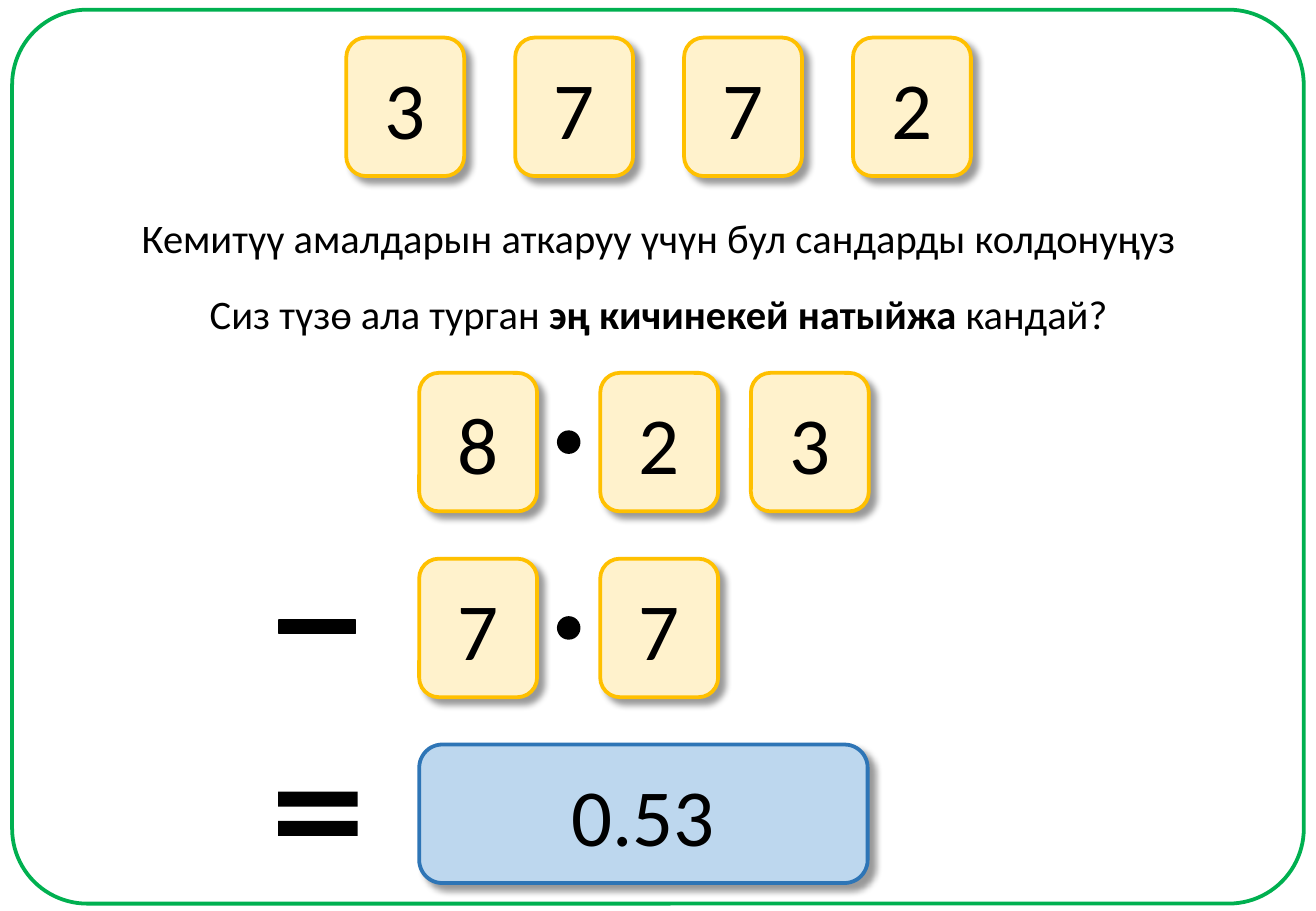
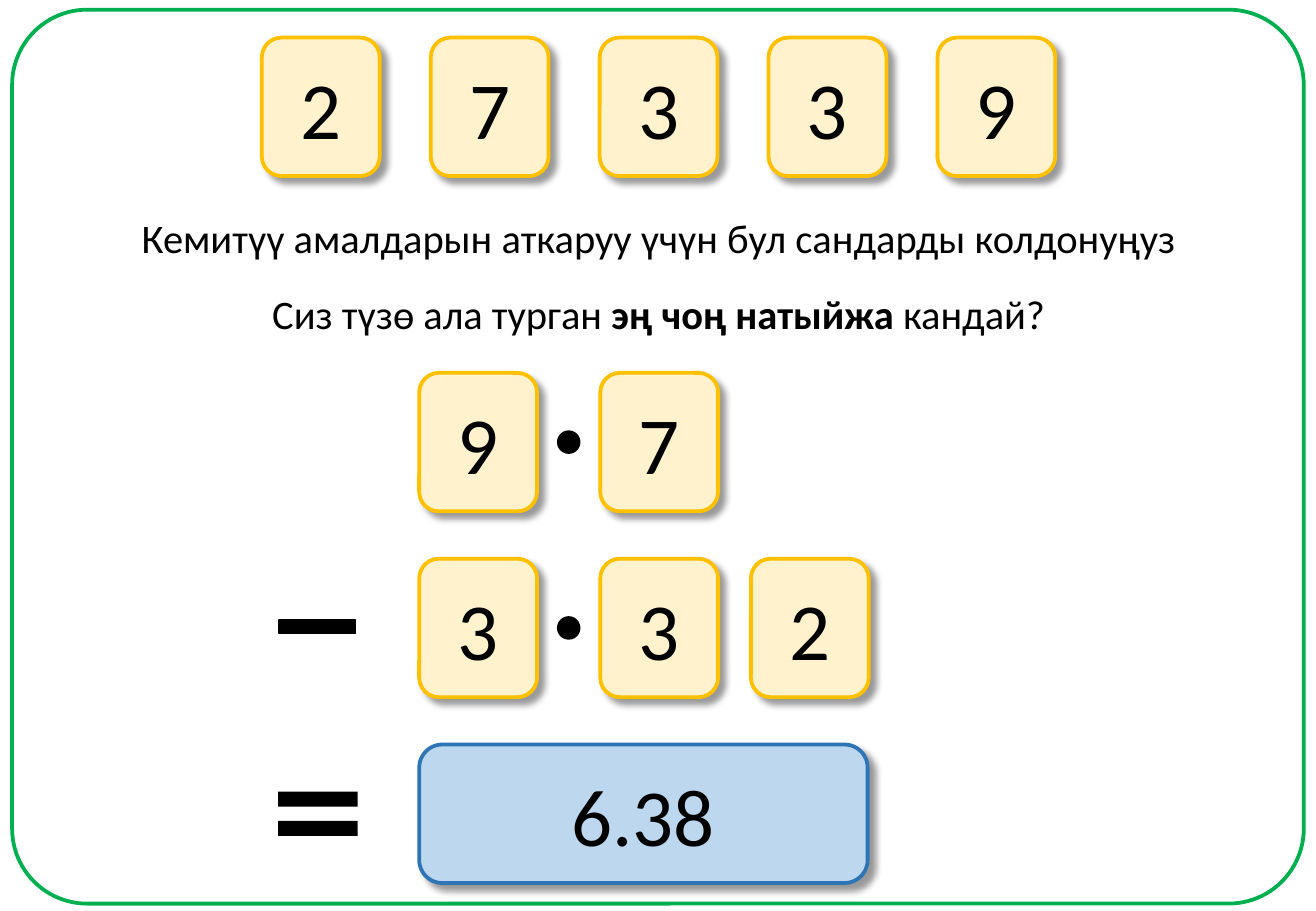
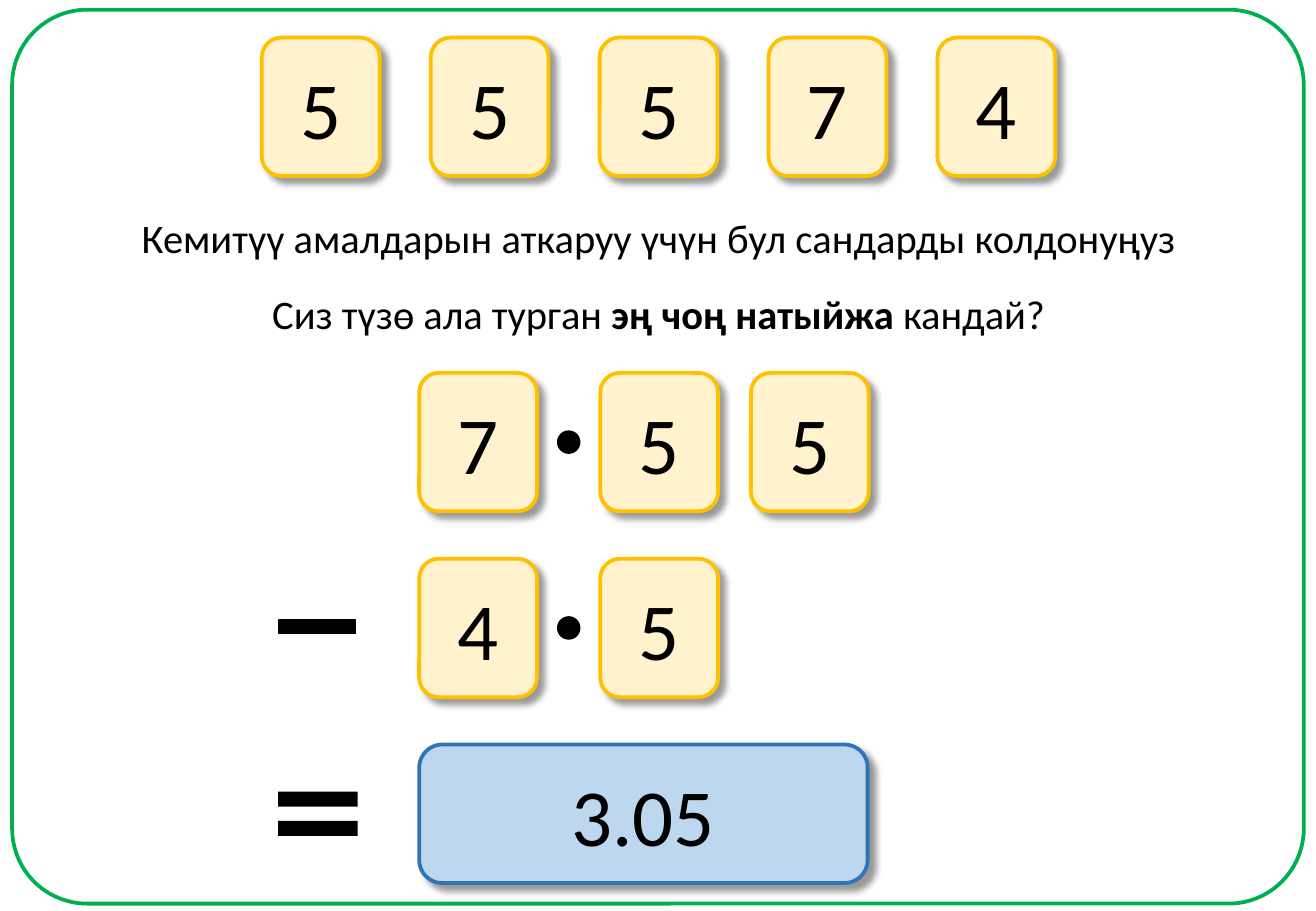
from lxml import etree
from pptx import Presentation
from pptx.dml.color import RGBColor
from pptx.enum.shapes import MSO_SHAPE
from pptx.enum.text import MSO_ANCHOR, MSO_AUTO_SIZE, PP_ALIGN
from pptx.oxml.ns import qn
from pptx.util import Inches, Pt

ROUNDED, OVAL = MSO_SHAPE.ROUNDED_RECTANGLE, MSO_SHAPE.OVAL
MINUS, EQUAL = MSO_SHAPE.MATH_MINUS, MSO_SHAPE.MATH_EQUAL
CENTER, TOP, MIDDLE = PP_ALIGN.CENTER, MSO_ANCHOR.TOP, MSO_ANCHOR.MIDDLE
NO_AUTOFIT = MSO_AUTO_SIZE.NONE

COLORS = {
    "ink": "000000",
    "frame": "00B050",
    "tile": "FFF2CC",
    "tile_line": "FFC000",
    "result": "BDD7EE",
    "result_line": "2E75B6",
}
FONT = "Calibri"
SLIDE_W, SLIDE_H = 10.83, 7.5
MID_X = 5.42
TILE_W, TILE_H = 0.97, 1.14
CARD_PITCH = 1.39
DIGIT_OFFSETS = (0, 1.49, 2.73)
NUMBER_X, SIGN_X = 3.45, 2.18
ROW_Y, ROW_PITCH = 3.07, 1.53

INSTRUCTION = "Кемитүү амалдарын аткаруу үчүн бул сандарды колдонуңуз"
SMALLEST = ("эң кичинекей натыйжа ", 7.66)
LARGEST = ("эң чоң натыйжа ", 6.62)

# cards, goal and its box width, digits of each number, result
TASKS = [
    ("3772", SMALLEST, "823", "77", "0.53"),
    ("27339", LARGEST, "97", "332", "6.38"),
    ("55574", LARGEST, "755", "45", "3.05"),
]


def rgb(name):
    return RGBColor.from_string(COLORS[name])


def write(tf, *runs, size=24, anchor=TOP, wrap=False):
    """Fill a text frame with one centred line; a run is a (text, bold) pair."""
    tf.auto_size = NO_AUTOFIT
    tf.word_wrap = wrap
    tf.vertical_anchor = anchor
    p = tf.paragraphs[0]
    p.alignment = CENTER
    for text, bold in runs:
        r = p.add_run()
        r.text = text
        r.font.name, r.font.size, r.font.bold = FONT, Pt(size), bold
        r.font.color.rgb = rgb("ink")


def add_shape(s, kind, box, fill=None, line=None, line_width=2.25, adjust=()):
    sp = s.shapes.add_shape(kind, *map(Inches, box))
    sp.shadow.inherit = False
    if fill:
        sp.fill.solid()
        sp.fill.fore_color.rgb = rgb(fill)
    else:
        sp.fill.background()
    if line:
        sp.line.color.rgb = rgb(line)
        sp.line.width = Pt(line_width)
    else:
        sp.line.fill.background()
    for i, value in enumerate(adjust):
        sp.adjustments[i] = value
    return sp


def add_shadow(sp):
    effects = sp._element.spPr.find(qn("a:effectLst"))
    shadow = etree.SubElement(
        effects, qn("a:outerShdw"), blurRad=str(Pt(4)), dist=str(Pt(5)),
        dir=str(45 * 60000), algn="tl", rotWithShape="0")
    color = etree.SubElement(shadow, qn("a:srgbClr"), val=COLORS["ink"])
    etree.SubElement(color, qn("a:alpha"), val="40000")


def add_tile(s, text, x, y, width=TILE_W, style="tile"):
    sp = add_shape(s, ROUNDED, (x, y, width, TILE_H), style, style + "_line")
    add_shadow(sp)
    write(sp.text_frame, (text, False), size=48, anchor=MIDDLE, wrap=True)


def add_cards(s, digits, y):
    x = MID_X - ((len(digits) - 1) * CARD_PITCH + TILE_W) / 2
    for i, digit in enumerate(digits):
        add_tile(s, digit, x + i * CARD_PITCH, y)


def add_question(s, goal, width, y):
    """Place the instruction as the title, with the question below it."""
    title = s.shapes.title
    title.left, title.top, title.width, title.height = map(
        Inches, (MID_X - 4.4, y, 8.8, 0.5))
    write(title.text_frame, (INSTRUCTION, False))
    question = s.shapes.add_textbox(
        *map(Inches, (MID_X - width / 2, y + 0.63, width, 0.5)))
    write(question.text_frame, ("Сиз түзө ала турган ", False),
          (goal, True), ("кандай?", False))


def add_number(s, digits, x, y):
    """Place a decimal number: a tile for each digit, a dot after the first."""
    for digit, offset in zip(digits, DIGIT_OFFSETS):
        add_tile(s, digit, x + offset, y)
    add_shape(s, OVAL, (x + 1.14, y + 0.48, 0.18, 0.18), "ink", "ink", 1)


def add_subtraction(s, first, second, result, y):
    second_y, result_y = y + ROW_PITCH, y + 2 * ROW_PITCH
    add_number(s, first, NUMBER_X, y)
    add_shape(s, MINUS, (SIGN_X, second_y + 0.13, 0.86, 0.86),
              "ink", "ink", 1, adjust=(0.132,))
    add_number(s, second, NUMBER_X, second_y)
    add_shape(s, EQUAL, (SIGN_X - 0.01, result_y + 0.07, 0.89, 1),
              "ink", adjust=(0.123, 0.118))
    add_tile(s, result, NUMBER_X, result_y, width=3.69, style="result")


def add_task_slide(prs, cards, goal, first, second, result):
    s = prs.slides.add_slide(prs.slide_layouts[5])
    add_shape(s, ROUNDED, (0.1, 0.08, 10.63, 7.36), line="frame",
              adjust=(0.084,))
    add_cards(s, cards, 0.31)
    add_question(s, *goal, 1.7)
    add_subtraction(s, first, second, result, ROW_Y)


def main():
    prs = Presentation()
    prs.slide_width, prs.slide_height = Inches(SLIDE_W), Inches(SLIDE_H)
    for task in TASKS:
        add_task_slide(prs, *task)
    prs.save("out.pptx")


if __name__ == "__main__":
    main()
